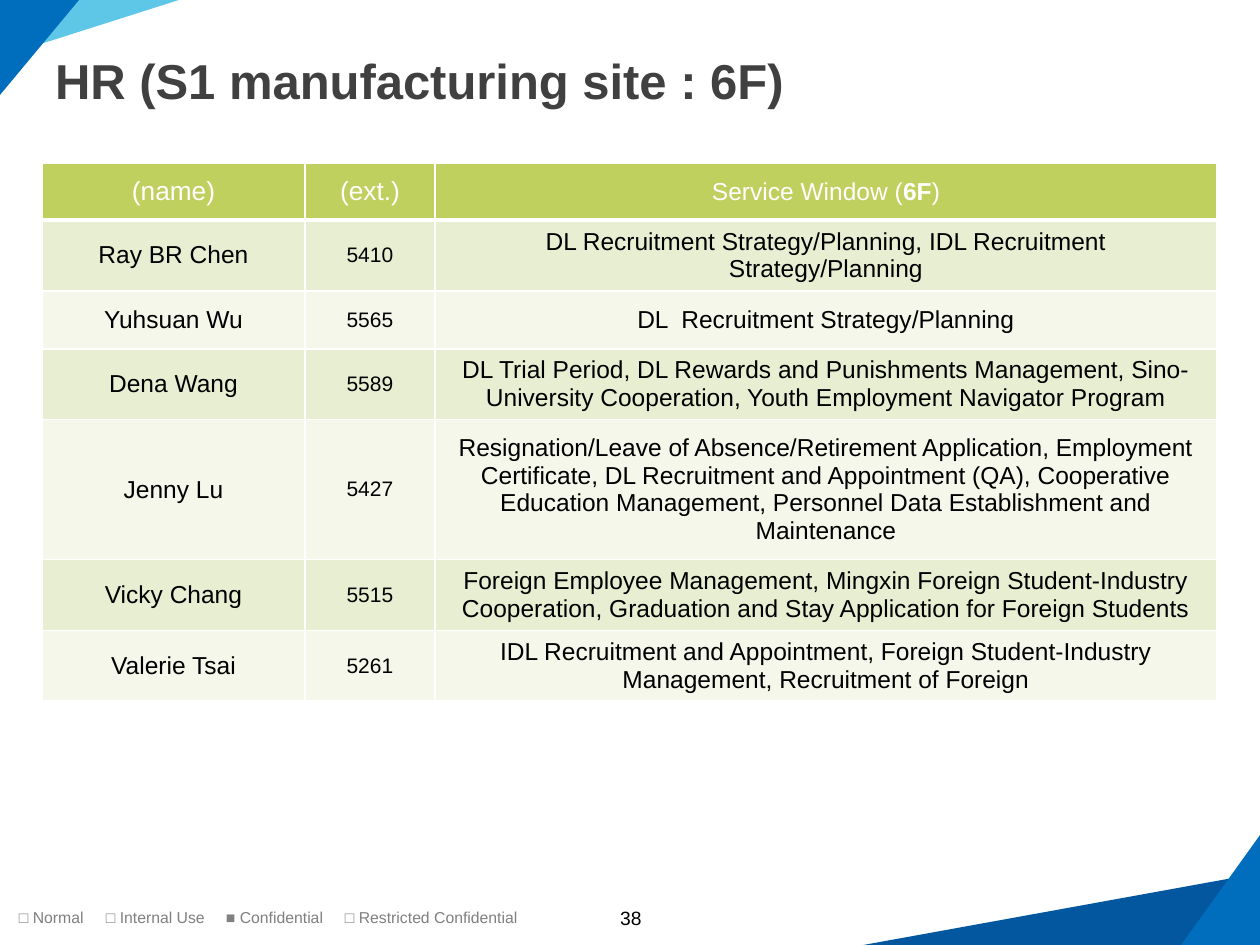
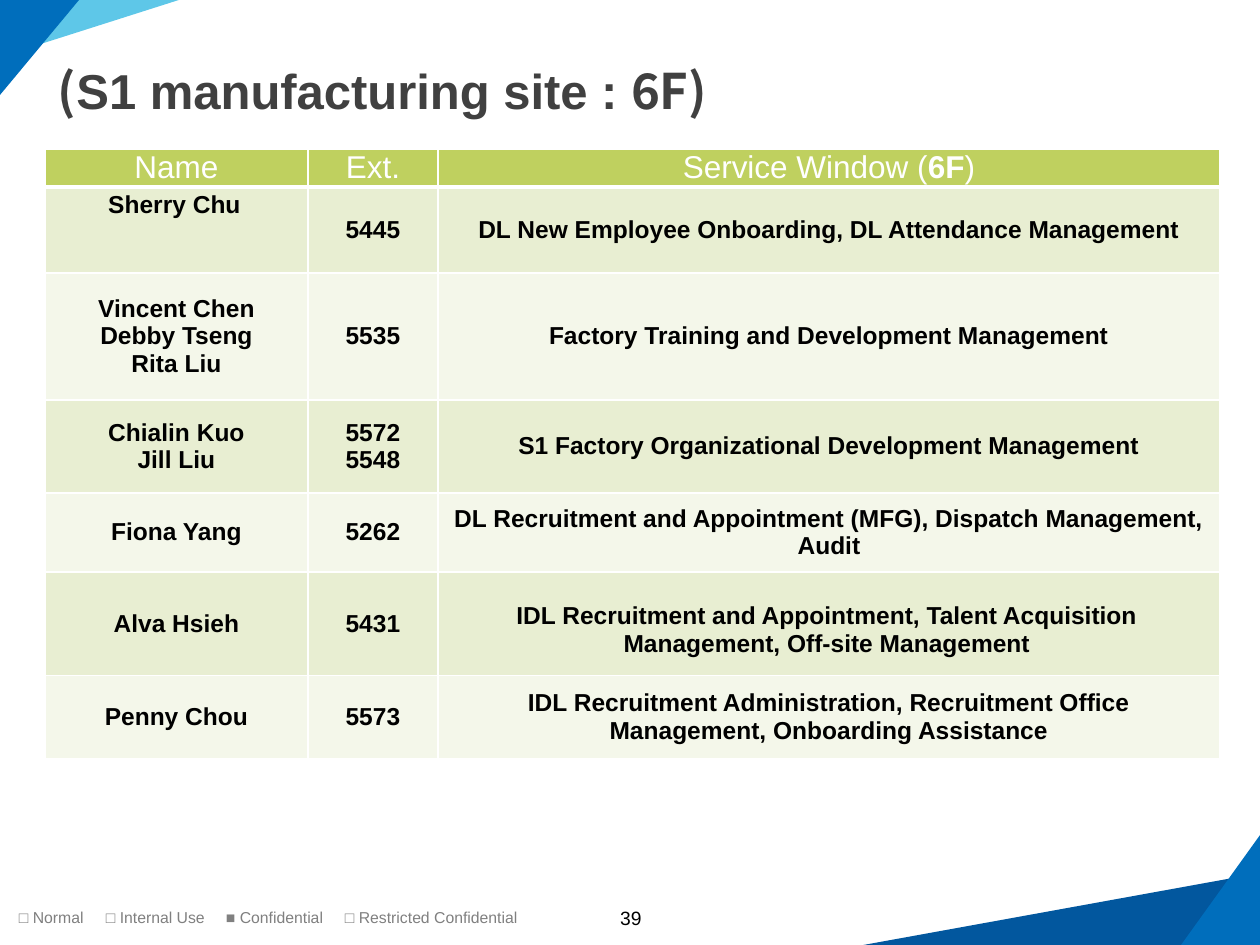
from dataclasses import dataclass
from typing import NamedTuple

from lxml.etree import SubElement
from pptx import Presentation
from pptx.dml.color import RGBColor
from pptx.enum.shapes import MSO_SHAPE
from pptx.enum.text import MSO_ANCHOR, MSO_AUTO_SIZE, PP_ALIGN
from pptx.oxml.ns import qn
from pptx.util import Emu, Pt

PX_PER_INCH = 126


def px(n: int) -> Emu:
    return Emu(round(n * 914400 / PX_PER_INCH))


@dataclass(frozen=True)
class Theme:
    font: str = "Arial"
    cjk_font: str = "Noto Sans CJK SC"
    white: str = "FFFFFF"
    ink: str = "000000"
    title: str = "404040"
    footer: str = "808080"
    sky: str = "5EC7E8"
    blue: str = "006EBC"
    navy: str = "02579E"
    header: str = "BFD05F"
    bands: tuple[str, str] = ("E8EED2", "F4F7EA")
    title_size: int = 28
    body_size: int = 14
    number_size: int = 11
    footer_size: int = 9
    border: int = 1
    header_border: int = 3


THEME = Theme()


class Box(NamedTuple):
    x: int
    y: int
    w: int
    h: int

    def emu(self) -> tuple[Emu, ...]:
        return tuple(px(n) for n in self)


class Insets(NamedTuple):
    left: int
    top: int
    right: int
    bottom: int


class Span(NamedTuple):
    text: str
    bold: bool = False
    font: str = THEME.font


class Corner(NamedTuple):
    box: Box
    color: str
    rotation: int = 0


class CellFormat(NamedTuple):
    insets: Insets
    anchor: MSO_ANCHOR = MSO_ANCHOR.MIDDLE


class Row(NamedTuple):
    height: int
    name: str
    ext: str
    service: str
    name_format: CellFormat = CellFormat(Insets(3, 0, 3, 0))
    service_format: CellFormat = CellFormat(Insets(13, 6, 13, 6))


@dataclass(frozen=True)
class ContactSlide:
    number: int
    title: tuple[Span, ...]
    title_xy: tuple[int, int]
    table_xy: tuple[int, int]
    headings: tuple[str, str]
    header_height: int
    heading_sizes: tuple[int, int, int]
    ext_size: int
    bold: bool
    rows: tuple[Row, ...]


CORNERS = (
    Corner(Box(0, 0, 179, 42 + 15), THEME.sky),
    Corner(Box(0, 0, 79, 95), THEME.blue),
    Corner(Box(863, 873, 397, 72), THEME.navy, 180),
    Corner(Box(1181, 835, 79, 110), THEME.blue, 180),
)
LEVELS = ("□ Normal", "□ Internal Use", "■ Confidential", "□ Restricted Confidential")
LEVEL_TABS = (87, 207, 326)
COLUMNS = (263, 130, 782)
SERVICE_HEADING = (Span("Service Window ("), Span("6F", True), Span(")"))
HEADER_FORMAT = CellFormat(Insets(0, 0, 0, 0))
EXT_FORMAT = CellFormat(Insets(3, 0, 3, 0))

SLIDES = (
    ContactSlide(
        38, (Span("HR (S1 manufacturing site : 6F)", True),), (42, 54), (42, 163),
        ("(name)", "(ext.)"), 57, (15, 15, 14), 12, False,
        (
            Row(68, "Ray BR Chen", "5410",
                "DL Recruitment Strategy/Planning, IDL Recruitment Strategy/Planning"),
            Row(58, "Yuhsuan Wu", "5565", "DL  Recruitment Strategy/Planning"),
            Row(68, "Dena Wang", "5589",
                "DL Trial Period, DL Rewards and Punishments Management, "
                "Sino-University Cooperation, Youth Employment Navigator Program"),
            Row(140, "Jenny Lu", "5427",
                "Resignation/Leave of Absence/Retirement Application, Employment "
                "Certificate, DL Recruitment and Appointment (QA), Cooperative Education "
                "Management, Personnel Data Establishment and Maintenance"),
            Row(68, "Vicky Chang", "5515",
                "Foreign Employee Management, Mingxin Foreign Student-Industry "
                "Cooperation, Graduation and Stay Application for Foreign Students"),
            Row(68, "Valerie Tsai", "5261",
                "IDL Recruitment and Appointment, Foreign Student-Industry Management, "
                "Recruitment of Foreign"),
        ),
    ),
    ContactSlide(
        39,
        (Span("(", True, THEME.cjk_font), Span("S1 manufacturing site : ", True),
         Span("6F)", True, THEME.cjk_font)),
        (45, 64), (45, 149), ("Name", "Ext."), 35, (18, 18, 18), 14, True,
        (
            Row(86, "Sherry Chu", "5445",
                "DL New Employee Onboarding, DL Attendance Management",
                name_format=CellFormat(Insets(4, 4, 8, 4), MSO_ANCHOR.TOP)),
            Row(127, "Vincent Chen\nDebby Tseng\nRita Liu", "5535",
                "Factory Training and Development Management"),
            Row(93, "Chialin Kuo\nJill Liu", "5572\n5548",
                "S1 Factory Organizational Development Management"),
            Row(79, "Fiona Yang", "5262",
                "DL Recruitment and Appointment (MFG), Dispatch Management, Audit"),
            Row(104, "Alva Hsieh", "5431",
                "IDL Recruitment and Appointment, Talent Acquisition Management, "
                "Off-site Management",
                service_format=CellFormat(Insets(4, 16, 8, 4))),
            Row(83, "Penny Chou", "5573",
                "IDL Recruitment Administration, Recruitment Office Management, "
                "Onboarding Assistance"),
        ),
    ),
)


def rgb(color: str) -> RGBColor:
    return RGBColor.from_string(color)


def add_run(p, text: str, *, size: int, color: str, bold: bool = False,
            font: str = THEME.font) -> None:
    r = p.add_run()
    r.text = text
    r.font.name, r.font.size, r.font.bold = font, Pt(size), bold
    r.font.color.rgb = rgb(color)


def write_spans(p, spans: tuple[Span, ...], *, size: int, color: str) -> None:
    for span in spans:
        add_run(p, span.text, size=size, color=color, bold=span.bold, font=span.font)


def set_insets(target, insets: Insets) -> None:
    for side, inset in insets._asdict().items():
        setattr(target, f"margin_{side}", px(inset))


def add_text_box(slide, box: Box, insets: Insets):
    tf = slide.shapes.add_textbox(*box.emu()).text_frame
    tf.word_wrap = True
    set_insets(tf, insets)
    return tf.paragraphs[0]


# Corner triangles, page number and confidentiality line
def add_frame(slide, number: int) -> None:
    for corner in CORNERS:
        sp = slide.shapes.add_shape(MSO_SHAPE.RIGHT_TRIANGLE, *corner.box.emu())
        sp.shadow.inherit = False
        sp.fill.solid()
        sp.fill.fore_color.rgb = rgb(corner.color)
        sp.line.fill.background()
        sp.rotation = corner.rotation
        sp._element.spPr.xfrm.set("flipV", "1")

    p = add_text_box(slide, Box(575, 906, 112, 30), Insets(13, 0, 13, 0))
    p.alignment = PP_ALIGN.CENTER
    add_run(p, str(number), size=THEME.number_size, color=THEME.ink)

    p = add_text_box(slide, Box(6, 902, 568, 32), Insets(13, 6, 13, 6))
    tabs = SubElement(p._p.get_or_add_pPr(), qn("a:tabLst"))
    for stop in LEVEL_TABS:
        SubElement(tabs, qn("a:tab"), pos=str(px(stop)), algn="l")
    add_run(p, "\t".join(LEVELS), size=THEME.footer_size, color=THEME.footer)


def add_title(slide, spans: tuple[Span, ...], xy: tuple[int, int]) -> None:
    title = slide.shapes.title
    title.left, title.top, title.width, title.height = Box(*xy, 1131, 59).emu()
    tf = title.text_frame
    tf.word_wrap = True
    tf.auto_size = MSO_AUTO_SIZE.NONE
    tf.vertical_anchor = MSO_ANCHOR.MIDDLE
    set_insets(tf, Insets(13, 6, 13, 6))
    p = tf.paragraphs[0]
    p.alignment = PP_ALIGN.LEFT
    p.line_spacing = 0.9
    write_spans(p, spans, size=THEME.title_size, color=THEME.title)


# Table cells
def set_borders(cell, bottom: int) -> None:
    tc_pr = cell._tc.get_or_add_tcPr()
    widths = {"lnL": THEME.border, "lnR": THEME.border, "lnT": THEME.border, "lnB": bottom}
    for tag, width in widths.items():
        line = SubElement(tc_pr, qn(f"a:{tag}"), w=str(Pt(width)))
        fill = SubElement(line, qn("a:solidFill"))
        SubElement(fill, qn("a:srgbClr"), val=THEME.white)


def fill_cell(cell, paragraphs: list[tuple[Span, ...]], fmt: CellFormat, *, size: int,
              color: str, fill: str, bottom: int = THEME.border) -> None:
    set_borders(cell, bottom)
    cell.fill.solid()
    cell.fill.fore_color.rgb = rgb(fill)
    cell.vertical_anchor = fmt.anchor
    set_insets(cell, fmt.insets)
    tf = cell.text_frame
    for i, spans in enumerate(paragraphs):
        p = tf.add_paragraph() if i else tf.paragraphs[0]
        p.alignment = PP_ALIGN.CENTER
        write_spans(p, spans, size=size, color=color)


def add_contact_table(slide, page: ContactSlide) -> None:
    heights = (page.header_height, *(row.height for row in page.rows))
    box = Box(*page.table_xy, sum(COLUMNS), sum(heights))
    table = slide.shapes.add_table(len(heights), len(COLUMNS), *box.emu()).table
    table.first_row = table.horz_banding = False
    for column, width in zip(table.columns, COLUMNS):
        column.width = px(width)
    for table_row, height in zip(table.rows, heights):
        table_row.height = px(height)

    headings = [(Span(text),) for text in page.headings] + [SERVICE_HEADING]
    for c, (spans, size) in enumerate(zip(headings, page.heading_sizes)):
        fill_cell(table.cell(0, c), [spans], HEADER_FORMAT, size=size, color=THEME.white,
                  fill=THEME.header, bottom=THEME.header_border)

    for i, row in enumerate(page.rows):
        cells = (
            (row.name, row.name_format, THEME.body_size),
            (row.ext, EXT_FORMAT, page.ext_size),
            (row.service, row.service_format, THEME.body_size),
        )
        for c, (text, fmt, size) in enumerate(cells):
            paragraphs = [(Span(line, page.bold),) for line in text.split("\n")]
            fill_cell(table.cell(i + 1, c), paragraphs, fmt, size=size, color=THEME.ink,
                      fill=THEME.bands[i % 2])


def main() -> None:
    prs = Presentation()
    prs.slide_width, prs.slide_height = px(1260), px(945)
    title_only = prs.slide_layouts[5]
    for page in SLIDES:
        slide = prs.slides.add_slide(title_only)
        add_frame(slide, page.number)
        add_title(slide, page.title, page.title_xy)
        add_contact_table(slide, page)
    prs.save("out.pptx")


if __name__ == "__main__":
    main()
